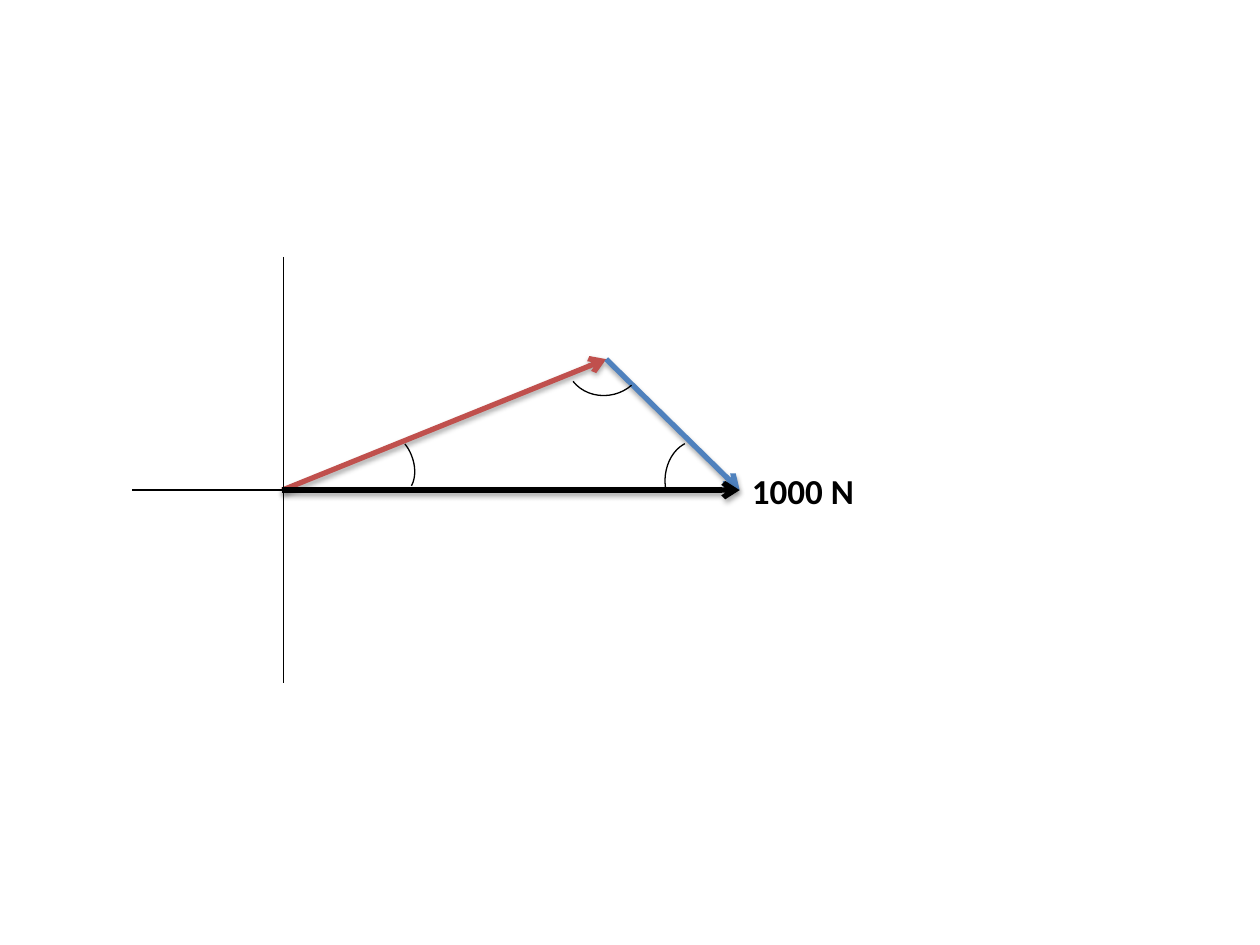
from dataclasses import dataclass

from lxml import etree
from pptx import Presentation
from pptx import util as u
from pptx.dml.color import RGBColor
from pptx.enum import shapes, text
from pptx.oxml import ns


@dataclass(frozen=True)
class Theme:
    black: str = "000000"
    red: str = "C0504D"
    blue: str = "4F81BD"
    font: str = "Calibri"
    label_size: float = 20
    thin: float = 0.75
    thick: float = 3


THEME = Theme()

# Corners of the force triangle, in cm
ORIGIN = (5.69, 9.88)
APEX = (12.22, 7.24)
TIP = (14.91, 9.88)

# Start and end of every angle mark, as arc adjustments
ARC_SPAN = (143.411, 203.515)


def set_format(obj, values):
    for name, value in values.items():
        setattr(obj, name, value)


def set_line(sp, color, width):
    sp.line.color.rgb = RGBColor.from_string(color)
    sp.line.width = u.Pt(width)


def add_line(s, start, end, color=THEME.black, width=THEME.thin):
    """Draw a straight line; return it with its empty effect list."""
    points = [u.Cm(v) for v in (*start, *end)]
    sp = s.shapes.add_connector(shapes.MSO_CONNECTOR.STRAIGHT, *points)
    set_line(sp, color, width)
    effects = etree.SubElement(sp._element.spPr, ns.qn("a:effectLst"))
    return sp, effects


def add_vector(s, start, end, color):
    """Draw a thick arrow with a soft shadow below it."""
    sp, effects = add_line(s, start, end, color, THEME.thick)
    ln = sp._element.spPr.find(ns.qn("a:ln"))
    etree.SubElement(ln, ns.qn("a:tailEnd"), type="arrow")
    shadow = etree.SubElement(
        effects, ns.qn("a:outerShdw"), blurRad=str(u.Pt(3.1)),
        dist=str(u.Pt(1.8)), dir="5400000", rotWithShape="0")
    clr = etree.SubElement(shadow, ns.qn("a:srgbClr"), val=THEME.black)
    etree.SubElement(clr, ns.qn("a:alpha"), val="35000")


def add_angle(s, box, rotation):
    sp = s.shapes.add_shape(shapes.MSO_SHAPE.ARC, *[u.Cm(v) for v in box])
    sp.adjustments[0], sp.adjustments[1] = ARC_SPAN
    sp.rotation = rotation
    sp.shadow.inherit = False
    sp.fill.background()
    set_line(sp, THEME.black, THEME.thin)


def add_label(s, box, words):
    tf = s.shapes.add_textbox(*[u.Cm(v) for v in box]).text_frame
    set_format(tf, {"word_wrap": True,
                    "auto_size": text.MSO_AUTO_SIZE.SHAPE_TO_FIT_TEXT})
    r = tf.paragraphs[0].add_run()
    r.text = words
    set_format(r.font, {"name": THEME.font, "size": u.Pt(THEME.label_size),
                        "bold": True})
    r.font.color.rgb = RGBColor.from_string(THEME.black)


def main():
    prs = Presentation()
    set_format(prs, {"slide_width": u.Cm(25.4), "slide_height": u.Cm(19.05)})
    s = prs.slides.add_slide(prs.slide_layouts[6])

    # Component forces
    add_vector(s, ORIGIN, APEX, THEME.red)
    add_vector(s, APEX, TIP, THEME.blue)

    # Axes
    add_line(s, (2.67, 9.88), (7.21, 9.88))
    add_line(s, (5.72, 5.18), (5.72, 13.77))

    # Angles at the apex and the origin
    add_angle(s, (11.4, 6.5, 1.6, 1.47), 165.9)
    add_angle(s, (7.21, 8.89, 1.32, 0.91), 67.5)

    # Resultant force, its angle and its label
    add_vector(s, ORIGIN, TIP, THEME.black)
    add_angle(s, (13.23, 9.07, 1.5, 1.14), 277)
    add_label(s, (14.91, 9.35, 2.97, 1.12), "1000 N")

    prs.save("out.pptx")


if __name__ == "__main__":
    main()
